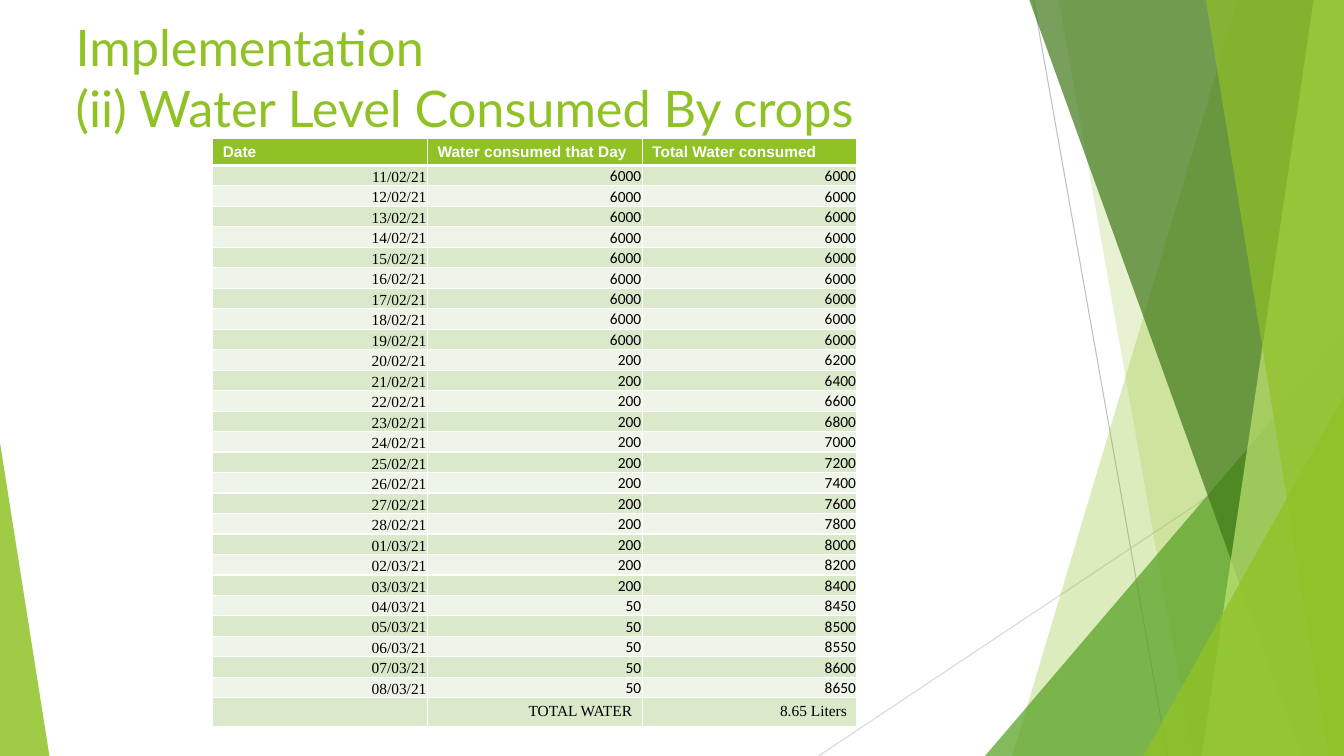
from itertools import accumulate
from typing import NamedTuple

from lxml import etree
from pptx import Presentation
from pptx import util as u
from pptx.dml.color import RGBColor
from pptx.enum import shapes, text
from pptx.oxml.ns import qn

W, H = u.Inches(13.33), u.Inches(7.5)
HEX = {
    "lime": "90C226", "green": "54A021", "forest": "3F7818", "pale": "BFE471",
    "grey": "BFBFBF", "silver": "D8D8D8", "white": "FFFFFF", "black": "000000",
    "odd": "DBE9CB", "even": "EEF4E7",
}


# Lengths are percent of the slide's width or height
def across(share: float) -> int:
    return round(W * share / 100)


def down(share: float) -> int:
    return round(H * share / 100)


def rgb(name: str) -> RGBColor:
    return RGBColor.from_string(HEX[name])


def apply(item, values: dict) -> None:
    for name, value in values.items():
        setattr(item, name, value)


class Ray(NamedTuple):
    x1: float
    y1: float
    x2: float
    y2: float
    hue: str


class Band(NamedTuple):
    """Runs from a sloping left side to the slide's right edge."""
    top: float
    foot: float
    hue: str
    alpha: int


class Wedge(NamedTuple):
    """Right triangle standing on the slide's bottom edge."""
    left: float
    top: float
    width: float
    peak: float
    hue: str
    alpha: int


class Style(NamedTuple):
    font: str
    hue: str = "black"
    bold: bool = False
    align: text.PP_ALIGN = text.PP_ALIGN.RIGHT
    tight: bool = True


DECOR = [
    Ray(76.9, 0, 86.87, 100, "grey"),
    Ray(100, 53.73, 60.9, 100, "silver"),
    Band(92.12, 75.32, "lime", 30),
    Band(78.77, 88.75, "lime", 20),
    Wedge(73.29, 44.4, 26.71, 1, "green", 72),
    Band(76.59, 96.85, "forest", 70),
    Band(97.75, 89.42, "pale", 70),
    Band(89.72, 98.87, "lime", 65),
    Wedge(85.07, 52.4, 14.93, 1, "lime", 80),
    Wedge(0, 58.53, 3.68, 0, "lime", 85),
]


def tint(shape, hue: str, alpha: int) -> None:
    shape.shadow.inherit = False
    shape.line.fill.background()
    shape.fill.solid()
    shape.fill.fore_color.rgb = rgb(hue)
    paint = shape._element.spPr.find(".//" + qn("a:srgbClr"))
    etree.SubElement(paint, qn("a:alpha")).set("val", str(alpha * 1000))


def draw_ray(page, ray: Ray) -> None:
    line = page.shapes.add_connector(
        shapes.MSO_CONNECTOR.STRAIGHT,
        across(ray.x1), down(ray.y1), across(ray.x2), down(ray.y2))
    line.line.color.rgb = rgb(ray.hue)
    line.line.width = u.Pt(0.75)
    etree.SubElement(line._element.spPr, qn("a:effectLst"))


def draw_band(page, band: Band) -> None:
    pen = page.shapes.build_freeform(across(band.top), 0)
    pen.add_line_segments([(W, 0), (W, H), (across(band.foot), H)], close=True)
    tint(pen.convert_to_shape(), band.hue, band.alpha)


def draw_wedge(page, wedge: Wedge) -> None:
    shape = page.shapes.add_shape(
        shapes.MSO_SHAPE.ISOSCELES_TRIANGLE, across(wedge.left),
        down(wedge.top), across(wedge.width), down(100 - wedge.top))
    shape.adjustments[0] = wedge.peak
    tint(shape, wedge.hue, wedge.alpha)


def set_font(font, face: str, size: int, hue: str, bold: bool = False) -> None:
    apply(font, {"name": face, "size": u.Pt(size), "bold": bold})
    font.color.rgb = rgb(hue)


def add_edge(cell, side: str, width: float) -> None:
    edge = etree.SubElement(cell._tc.get_or_add_tcPr(), qn("a:ln" + side))
    edge.set("w", str(u.Pt(width)))
    fill = etree.SubElement(edge, qn("a:solidFill"))
    etree.SubElement(fill, qn("a:srgbClr")).set("val", HEX["white"])


def fill_cell(cell, words: str, style: Style, back: str, rule: int) -> None:
    for side, width in zip("LRTB", (1, 1, 1, rule)):
        add_edge(cell, side, width)
    cell.fill.solid()
    cell.fill.fore_color.rgb = rgb(back)
    if style.tight:
        thin = u.Inches(0.01)
        apply(cell, {"margin_left": thin, "margin_right": thin,
                     "margin_top": thin, "margin_bottom": 0,
                     "vertical_anchor": text.MSO_ANCHOR.BOTTOM})
    para = cell.text_frame.paragraphs[0]
    para.alignment = style.align
    if words:
        run = para.add_run()
        run.text = words
        set_font(run.font, style.font, 11, style.hue, style.bold)
    else:
        etree.SubElement(para._p, qn("a:endParaRPr")).set("sz", "1100")


deck = Presentation()
apply(deck, {"slide_width": W, "slide_height": H})
page = deck.slides.add_slide(deck.slide_layouts[5])

# Green facets
DRAW = {Ray: draw_ray, Band: draw_band, Wedge: draw_wedge}
for part in DECOR:
    DRAW[type(part)](page, part)

# Title
title = page.shapes.title
apply(title, {"left": across(4.88), "top": down(1.47),
              "width": across(70.52), "height": down(19.2)})
frame = title.text_frame
frame.text = "Implementation\v(ii) Water Level Consumed By crops"
apply(frame, {"word_wrap": True, "auto_size": text.MSO_AUTO_SIZE.NONE,
              "vertical_anchor": text.MSO_ANCHOR.TOP})
frame.paragraphs[0].alignment = text.PP_ALIGN.LEFT
for run in frame.paragraphs[0].runs:
    set_font(run.font, "Lato", 36, "lime")

# Water readings: the first nine days share one 6000 fill
days = [f"{d:02}/02/21" for d in range(11, 29)]
days += [f"{d:02}/03/21" for d in range(1, 9)]
later = [200] * 12 + [50] * 5
used = [6000] * 9 + later
total = accumulate([6000] + [0] * 8 + later)

head = ("Date ", "Water consumed that Day", "Total Water consumed")
foot = ("", "TOTAL WATER", "8.65 Liters")
rows = [head, *zip(days, used, total), foot]

# Table
HEAD = Style("Arial", "white", True, text.PP_ALIGN.LEFT, False)
DATE, COUNT = Style("Times New Roman"), Style("Calibri")
FOOT = Style("Times New Roman", tight=False)
last = len(rows) - 1
grid = page.shapes.add_table(len(rows), len(head), across(15.83), down(18.27),
                             across(47.94), down(78.13)).table
for r, row in enumerate(rows):
    grid.rows[r].height = down(2.27 if r in (0, last) else 2.71)
    styles = {0: [HEAD] * 3, last: [FOOT] * 3}.get(r, [DATE, COUNT, COUNT])
    back = "lime" if r == 0 else "odd" if r % 2 else "even"
    for c, (value, style) in enumerate(zip(row, styles)):
        fill_cell(grid.cell(r, c), str(value), style, back, 1 if r else 3)

deck.save("out.pptx")
